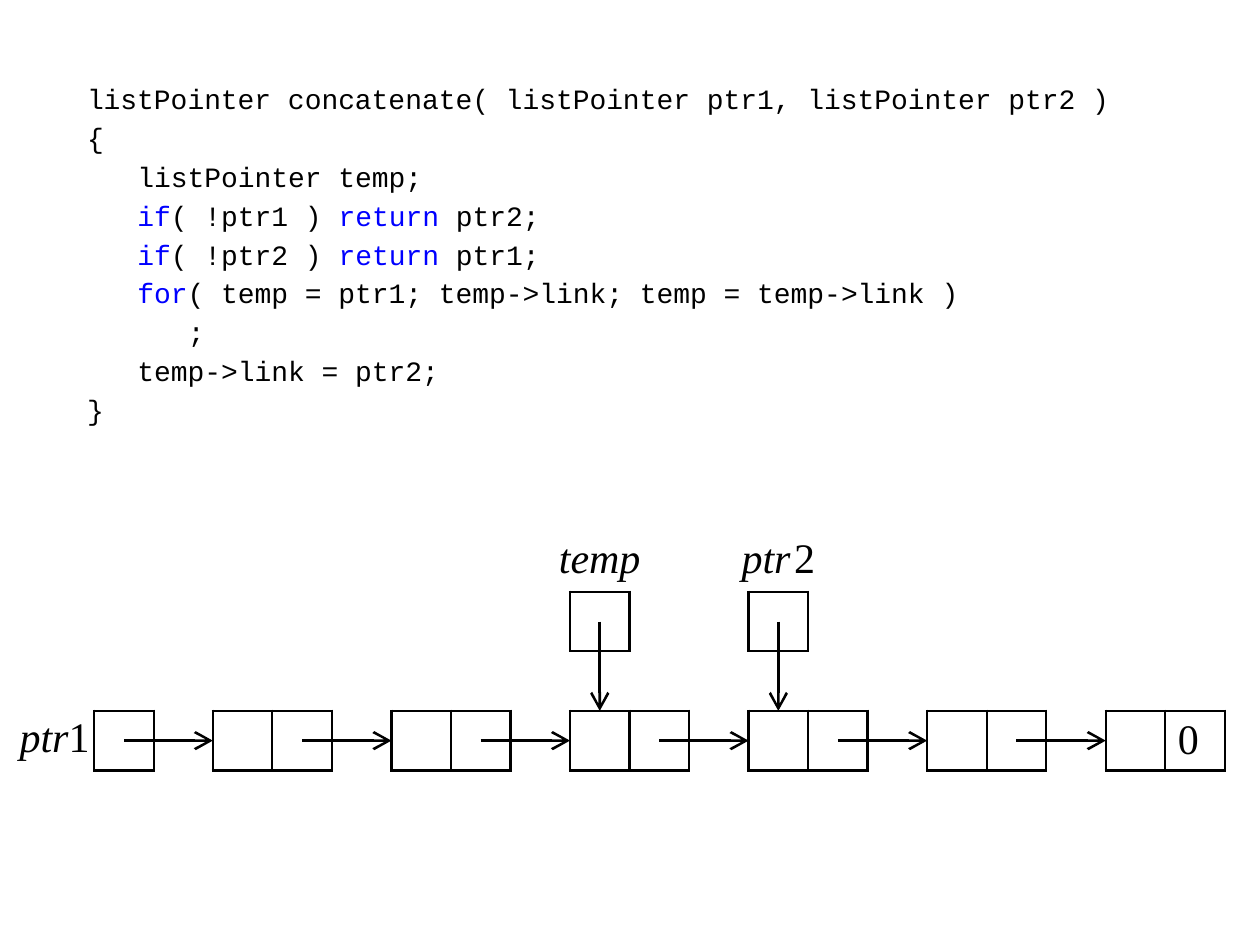
import pptx
import pptx.util
import pptx.dml.color
import pptx.enum.shapes
import pptx.enum.text
import pptx.oxml.ns
import lxml.etree

Cm, Pt = pptx.util.Cm, pptx.util.Pt
BLACK = pptx.dml.color.RGBColor(0x00, 0x00, 0x00)
BLUE = pptx.dml.color.RGBColor(0x00, 0x00, 0xFF)
CODE_FONT, LABEL_FONT = "Courier New", "Times New Roman"
CHAR_WIDTH = 9.6  # points per code character at 16 pt

# Grid of the list diagram, in cm
CELL, PITCH, NODES = 1.2, 3.6, 6
FIRST_X, LIST_Y = 4.29, 14.33
HEAD_X, POINTER_Y, LABEL_Y = 1.9, 11.93, 10.72

# Each line: indent in characters, then (text, colour) runs
CODE = [
    (0, [("listPointer concatenate( listPointer ptr1, listPointer ptr2 )", BLACK)]),
    (0, [("{", BLACK)]),
    (3, [("listPointer temp;", BLACK)]),
    (3, [("if", BLUE), ("( !ptr1 ) ", BLACK), ("return ", BLUE), ("ptr2;", BLACK)]),
    (3, [("if", BLUE), ("( !ptr2 ) ", BLACK), ("return ", BLUE), ("ptr1;", BLACK)]),
    (3, [("for", BLUE), ("( temp = ptr1; temp->link; temp = temp->link )", BLACK)]),
    (6, [(";", BLACK)]),
    (3, [("temp->link = ptr2;", BLACK)]),
    (0, [("}", BLACK)]),
]


def sub(parent, tag, **attrs):
    return lxml.etree.SubElement(parent, pptx.oxml.ns.qn(tag), attrs)


def add_run(p, text, font, size, color=BLACK, italic=False):
    r = p.add_run()
    r.text = text
    r.font.name, r.font.size, r.font.italic = font, Pt(size), italic
    r.font.color.rgb = color
    return r


def fill_code(sp):
    sp.left, sp.top, sp.width, sp.height = Cm(1.5), Cm(1.52), Cm(22.4), Cm(7.2)
    tf = sp.text_frame
    tf.word_wrap = True
    tf.auto_size = pptx.enum.text.MSO_AUTO_SIZE.NONE
    for i, (indent, runs) in enumerate(CODE):
        p = tf.paragraphs[0] if i == 0 else tf.add_paragraph()
        p.space_before = Pt(3)
        pPr = p._p.get_or_add_pPr()
        pPr.set("marL", str(int(Pt(indent * CHAR_WIDTH))))
        pPr.set("indent", "0")
        sub(pPr, "a:buNone")
        for text, color in runs:
            add_run(p, text, CODE_FONT, 16, color)


def add_cells(s, x, y, texts):
    """A row of square bordered cells."""
    n = len(texts)
    table = s.shapes.add_table(1, n, Cm(x), Cm(y), Cm(CELL * n), Cm(CELL)).table
    table.first_row = table.horz_banding = False
    for i, text in enumerate(texts):
        table.columns[i].width = Cm(CELL)
        cell = table.cell(0, i)
        cell.fill.background()
        cell.margin_top = cell.margin_bottom = 0
        cell.vertical_anchor = pptx.enum.text.MSO_ANCHOR.MIDDLE
        if text:
            add_run(cell.text_frame.paragraphs[0], text, LABEL_FONT, 24)
        tcPr = cell._tc.get_or_add_tcPr()
        for k, side in enumerate(("a:lnL", "a:lnR", "a:lnT", "a:lnB")):
            ln = sub(tcPr, side, w=str(int(Pt(1.5))))
            sub(sub(ln, "a:solidFill"), "a:srgbClr", val=str(BLACK))
            tcPr.insert(k, ln)


def add_arrow(s, x1, y1, x2, y2):
    c = s.shapes.add_connector(pptx.enum.shapes.MSO_CONNECTOR.STRAIGHT,
                               Cm(x1), Cm(y1), Cm(x2), Cm(y2))
    c.line.color.rgb, c.line.width = BLACK, Pt(1.5)
    sub(c.line._get_or_add_ln(), "a:tailEnd", type="arrow", w="lg", len="lg")
    sub(c._element.spPr, "a:effectLst")


def add_label(s, x, y, width, runs):
    """Centred variable name from (text, italic, letter spacing) runs."""
    tf = s.shapes.add_textbox(Cm(x), Cm(y), Cm(width), Cm(CELL)).text_frame
    tf.word_wrap = False
    tf.margin_left = tf.margin_right = tf.margin_top = 0
    tf.margin_bottom = Cm(0.1)
    p = tf.paragraphs[0]
    p.alignment = pptx.enum.text.PP_ALIGN.CENTER
    for text, italic, spacing in runs:
        r = add_run(p, text, LABEL_FONT, 24, italic=italic)
        if spacing:
            r._r.get_or_add_rPr().set("spc", str(spacing * 100))


def main():
    prs = pptx.Presentation()
    prs.slide_width, prs.slide_height = Cm(25.4), Cm(19.05)
    s = prs.slides.add_slide(prs.slide_layouts[1])
    title = s.shapes.title._element
    title.getparent().remove(title)

    # Code
    fill_code(s.placeholders[1])

    # Linked list
    node_x = [FIRST_X + PITCH * i for i in range(NODES)]
    middle_y = LIST_Y + CELL / 2
    add_label(s, 0.3, LIST_Y, 1.6, [("ptr", True, 0), ("1", False, 0)])
    add_cells(s, HEAD_X, LIST_Y, [""])
    for x in node_x:
        add_cells(s, x, LIST_Y, ["", "0" if x == node_x[-1] else ""])
    starts = [HEAD_X + CELL / 2] + [x + 1.5 * CELL for x in node_x[:-1]]
    for start, end in zip(starts, node_x):
        add_arrow(s, start, middle_y, end, middle_y)

    # Pointers above the list
    pointers = [(node_x[2], [("temp", True, 0)]),
                (node_x[3], [("pt", True, 0), ("r", True, 2), ("2", False, 0)])]
    for x, name in pointers:
        add_label(s, x - 0.4, LABEL_Y, 2, name)
        add_cells(s, x, POINTER_Y, [""])
        add_arrow(s, x + CELL / 2, POINTER_Y + CELL / 2, x + CELL / 2, LIST_Y)

    prs.save("out.pptx")


main()
